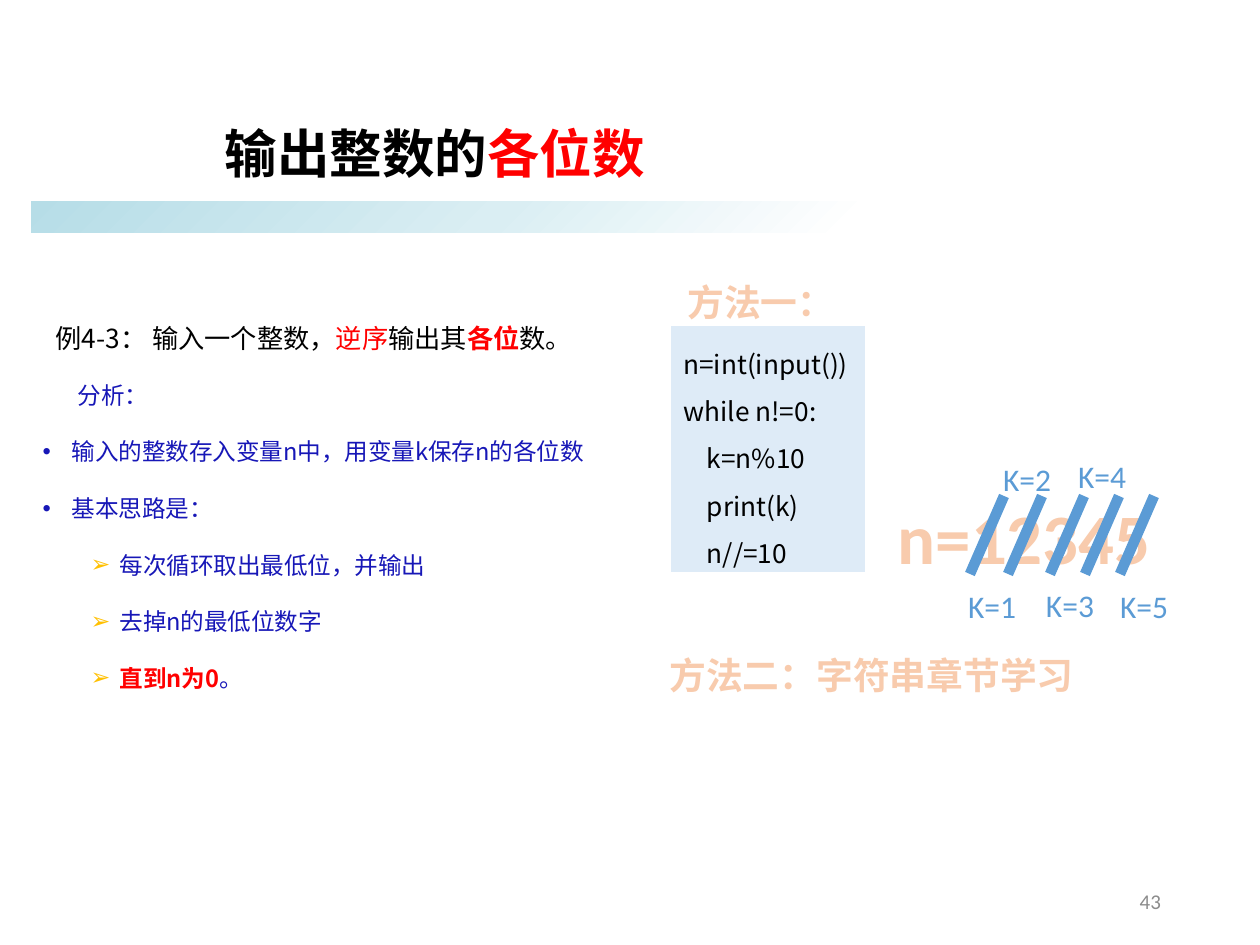
from dataclasses import dataclass

from lxml.etree import SubElement
from pptx import Presentation
from pptx.dml.color import RGBColor
from pptx.enum.shapes import MSO_CONNECTOR as Connector, MSO_SHAPE as Shape
from pptx.enum.text import MSO_ANCHOR as Anchor, MSO_AUTO_SIZE as AutoSize, PP_ALIGN as Align
from pptx.oxml.ns import qn
from pptx.util import Inches, Pt

EMU_PER_PX = Inches(1) / 126


def px(length):
    return round(length * EMU_PER_PX)


@dataclass(frozen=True)
class Theme:
    latin: str = "Calibri"
    cjk: str = "Noto Sans CJK SC"
    ink: str = "000000"
    accent: str = "FF0000"
    note: str = "1717B7"
    arrow: str = "FFC000"
    panel: str = "DEEBF7"
    digit: str = "5B9BD5"
    peach: str = "F8CBAD"
    outline: str = "ED7D31"
    muted: str = "8C8C8C"
    band: tuple = ((0, "B6DDE7"), (40, "DAEEF3"), (70, "FFFFFF"), (100, "FFFFFF"))
    title_size: float = 30
    text_size: float = 15
    note_size: float = 13.5
    heading_size: float = 21
    number_size: float = 40.5
    digit_size: float = 18
    page_size: float = 12


class SlideBuilder:
    def __init__(self, slide, theme):
        self.slide, self.theme = slide, theme

    def place(self, shape, box):
        for side, length in zip(("left", "top", "width", "height"), box):
            setattr(shape, side, px(length))

    def frame(self, shape, **settings):
        frame = shape.text_frame
        for key, value in {"auto_size": AutoSize.NONE, "word_wrap": True, **settings}.items():
            setattr(frame, key, value)
        return frame

    def add_runs(self, paragraph, runs, size, font, outline=None, **settings):
        """Fill a paragraph with (text, colour, bold) runs."""
        for key, value in {"space_before": Pt(0), "alignment": Align.LEFT, **settings}.items():
            setattr(paragraph, key, value)
        for text, color, bold in runs:
            run = paragraph.add_run()
            run.text = text
            for key, value in {"size": Pt(size), "bold": bold, "name": font}.items():
                setattr(run.font, key, value)
            run.font.color.rgb = RGBColor.from_string(color)
            props = run._r.get_or_add_rPr()
            SubElement(props, qn("a:ea"), typeface=self.theme.cjk)
            if outline:
                line = SubElement(props, qn("a:ln"), w=str(Pt(1.75)))
                fill = SubElement(line, qn("a:solidFill"))
                SubElement(fill, qn("a:srgbClr"), val=outline)
                props.insert(0, line)

    def bullet(self, paragraph, char=None, color=None, left=0, first=0):
        props = paragraph._p.get_or_add_pPr()
        props.set("marL", str(px(left)))
        props.set("indent", str(px(first)))
        if color:
            SubElement(SubElement(props, qn("a:buClr")), qn("a:srgbClr"), val=color)
        if char:
            SubElement(props, qn("a:buChar"), char=char)
        else:
            SubElement(props, qn("a:buNone"))

    def placeholder(self, index, box, anchor):
        shape = self.slide.placeholders[index]
        self.place(shape, box)
        return self.frame(shape, vertical_anchor=anchor)

    def rectangle(self, box):
        shape = self.slide.shapes.add_shape(Shape.RECTANGLE, *map(px, box))
        shape.shadow.inherit = False
        shape.line.fill.background()
        return shape

    def gradient_band(self, box):
        band = self.rectangle(box)
        band.fill.gradient()
        band.fill.gradient_angle = 315
        stops = band._element.spPr.find(qn("a:gradFill")).find(qn("a:gsLst"))
        for stop in list(stops):
            stops.remove(stop)
        for percent, color in self.theme.band:
            stop = SubElement(stops, qn("a:gs"), pos=str(percent * 1000))
            SubElement(stop, qn("a:srgbClr"), val=color)

    def code(self, box, lines):
        panel = self.rectangle(box)
        panel.fill.solid()
        panel.fill.fore_color.rgb = RGBColor.from_string(self.theme.panel)
        frame = self.frame(panel, vertical_anchor=Anchor.TOP)
        for number, line in enumerate(lines):
            paragraph = frame.add_paragraph() if number else frame.paragraphs[0]
            self.add_runs(paragraph, [(line, self.theme.ink, False)], self.theme.text_size,
                          self.theme.cjk, line_spacing=Pt(27))

    def label(self, box, text, size, color, bold=False, outline=None, align=Align.CENTER):
        shape = self.slide.shapes.add_textbox(*map(px, box))
        frame = self.frame(shape, word_wrap=False, vertical_anchor=Anchor.MIDDLE,
                           margin_left=px(9), margin_right=px(9),
                           margin_top=px(5), margin_bottom=px(5))
        self.add_runs(frame.paragraphs[0], [(text, color, bold)], size, self.theme.latin,
                      outline, alignment=align)

    def heading(self, box, text, size):
        self.label(box, text, size, self.theme.peach, True, self.theme.outline)

    def stroke(self, start, end):
        line = self.slide.shapes.add_connector(Connector.STRAIGHT, *map(px, start + end))
        line.line.color.rgb = RGBColor.from_string(self.theme.digit)
        line.line.width = Pt(6)
        SubElement(line._element.spPr, qn("a:effectLst"))


def main():
    deck = Presentation()
    deck.slide_width, deck.slide_height = Inches(10), Inches(7.5)
    theme = Theme()
    page = SlideBuilder(deck.slides.add_slide(deck.slide_layouts[3]), theme)

    # Title and band
    page.gradient_band((31, 201, 1176, 32))
    title = page.placeholder(0, (212, 88, 815, 137), Anchor.MIDDLE)
    page.add_runs(title.paragraphs[0],
                  [("输出整数的", theme.ink, True), ("各位数", theme.accent, True)],
                  theme.title_size, theme.latin, line_spacing=0.9)

    # Task statement
    task = page.placeholder(1, (43, 300, 554, 45), Anchor.TOP).paragraphs[0]
    page.bullet(task)
    page.add_runs(task, [("例4-3： 输入一个整数，", theme.ink, False),
                         ("逆序", theme.accent, False), ("输出其", theme.ink, False),
                         ("各位", theme.accent, True), ("数。", theme.ink, False)],
                  theme.text_size, theme.cjk, line_spacing=Pt(27))

    # Analysis list
    analysis = page.placeholder(2, (30, 373, 570, 357), Anchor.TOP)
    lead = analysis.paragraphs[0]
    page.bullet(lead, first=35)
    page.add_runs(lead, [("分析：", theme.note, False)], theme.note_size, theme.latin,
                  line_spacing=Pt(17))
    points = [
        (0, [("输入的整数存入变量n中，用变量k保存n的各位数", theme.note, False)]),
        (0, [("基本思路是：", theme.note, False)]),
        (1, [("每次循环取出最低位，并输出", theme.note, False)]),
        (1, [("去掉n的最低位数字", theme.note, False)]),
        (1, [("直到n为0", theme.accent, True), ("。", theme.note, False)]),
    ]
    markers = [("•", theme.note, 29, -29), ("➢", theme.arrow, 77, -29)]
    for level, runs in points:
        point = analysis.add_paragraph()
        page.bullet(point, *markers[level])
        page.add_runs(point, runs, theme.note_size, theme.cjk, level=level,
                      line_spacing=Pt(32.35))

    # Methods
    page.code((671, 326, 194, 246), ["n=int(input())", "while n!=0:", "    k=n%10",
                                     "    print(k)", "    n//=10"])
    page.heading((677, 275, 168, 54), "方法一：", theme.heading_size)
    page.heading((658, 648, 427, 54), "方法二：字符串章节学习", theme.heading_size)

    # Digits struck off one by one
    page.heading((887, 488, 275, 96), "n=12345", theme.number_size)
    digits = [(1004, 958, 582), (1042, 993, 455), (1084, 1036, 581),
              (1119, 1068, 452), (1154, 1110, 582)]
    for step, (stroke_x, label_x, label_y) in enumerate(digits, 1):
        page.stroke((stroke_x, 496), (stroke_x - 34, 574))
        page.label((label_x, label_y, 68, 48), f"K={step}", theme.digit_size, theme.digit)

    # Page number
    page.label((890, 876, 280, 50), "43", theme.page_size, theme.muted, align=Align.RIGHT)

    deck.save("out.pptx")


if __name__ == "__main__":
    main()
